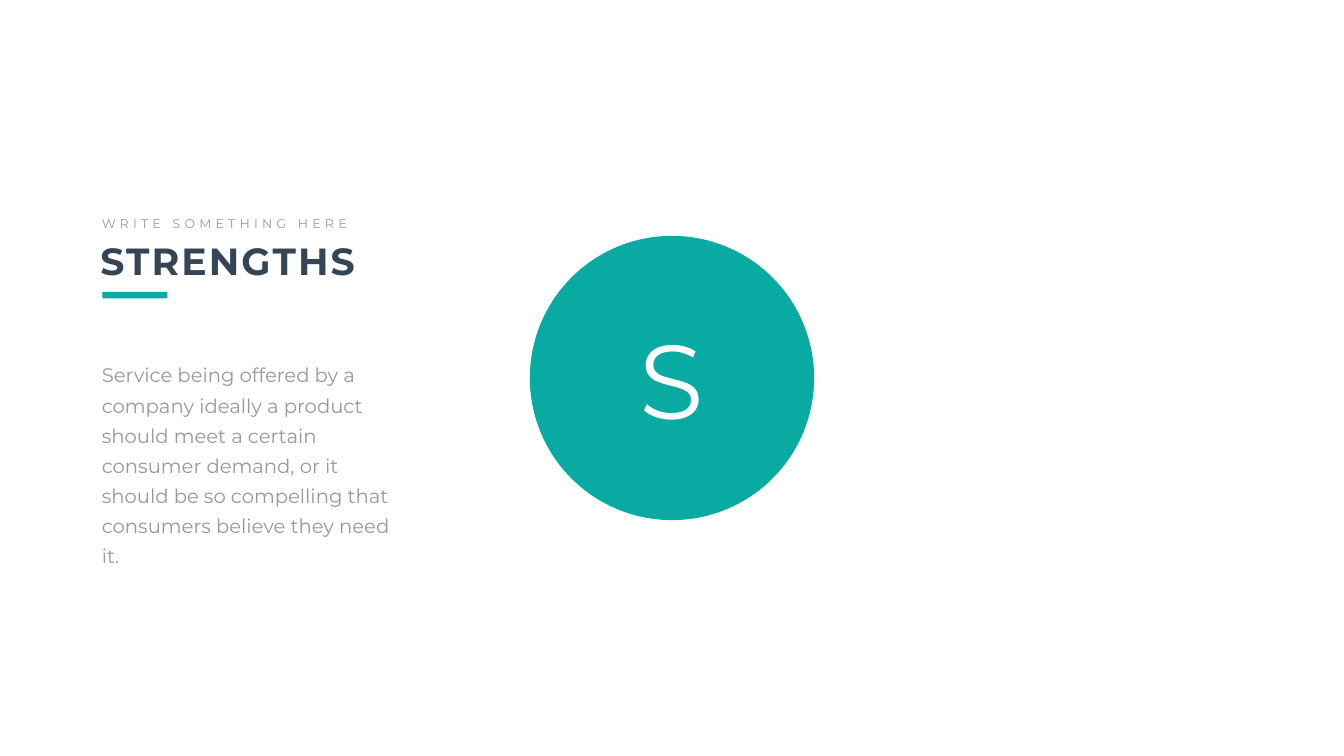
"""Build the Strengths slide with a lettered circle."""
from pptx import Presentation
from pptx.dml.color import RGBColor as RGB
from pptx.enum.shapes import MSO_SHAPE as SHAPE
from pptx.enum.text import MSO_ANCHOR as ANCHOR, MSO_AUTO_SIZE as FIT, PP_ALIGN as ALIGN
from pptx.util import Inches, Pt

THEME = {
    "font": "Montserrat",
    "teal": RGB.from_string("08AAA2"),
    "navy": RGB.from_string("364556"),
    "gray": RGB.from_string("999999"),
    "white": RGB.from_string("FFFFFF"),
    "letter": 150, "title": 54, "body": 28, "kicker": 18,
}
SLIDE_SIZE = (26.66, 15)
TITLE = dict(text="STRENGTHS", box=(1.89, 4.66, 6.59, 1.01), size="title",
             color="navy", bold=True, tracking=3)
TEXTS = [
    dict(text="S", box=(12.4, 6.19, 1.86, 2.63), size="letter", color="white",
         align=ALIGN.CENTER),
    dict(text="WRITE SOMETHING HERE", box=(1.92, 4.24, 5.18, 0.4), size="kicker",
         color="gray", tracking=6, wrap=False),
    dict(text="Service being offered by a company ideally a product should meet "
              "a certain consumer demand, or it should be so compelling that "
              "consumers believe they need it.",
         box=(1.78, 6.96, 6.59, 3.8), size="body", color="gray",
         insets=(0.24, 0.12), leading=43),
]
SHAPES = [
    (SHAPE.OVAL, (10.51, 4.68, 5.64, 5.64)),
    (SHAPE.RECTANGLE, (2.03, 5.79, 1.29, 0.13)),
]


def place(box):
    return [Inches(v) for v in box]


def write(s, text, box, size, color, bold=False, tracking=0, align=ALIGN.LEFT,
          wrap=True, insets=(0.1, 0.05), leading=None):
    s.left, s.top, s.width, s.height = place(box)
    tf = s.text_frame
    tf.word_wrap, tf.auto_size, tf.vertical_anchor = wrap, FIT.NONE, ANCHOR.TOP
    tf.margin_left = tf.margin_right = Inches(insets[0])
    tf.margin_top = tf.margin_bottom = Inches(insets[1])
    p = tf.paragraphs[0]
    p.alignment = align
    if leading:
        p.line_spacing = Pt(leading)
    r = p.add_run()
    r.text = text
    r.font.name, r.font.size, r.font.bold = THEME["font"], Pt(THEME[size]), bold
    r.font.color.rgb = THEME[color]
    if tracking:
        r._r.get_or_add_rPr().set("spc", str(tracking * 100))


def main():
    prs = Presentation()
    prs.slide_width, prs.slide_height = place(SLIDE_SIZE)
    slide = prs.slides.add_slide(prs.slide_layouts[5])
    for kind, box in SHAPES:
        s = slide.shapes.add_shape(kind, *place(box))
        s.shadow.inherit = False
        s.fill.solid()
        s.fill.fore_color.rgb = THEME["teal"]
        s.line.fill.background()
    write(slide.shapes.title, **TITLE)
    for item in TEXTS:
        write(slide.shapes.add_textbox(*place(item["box"])), **item)
    prs.save("out.pptx")


if __name__ == "__main__":
    main()
